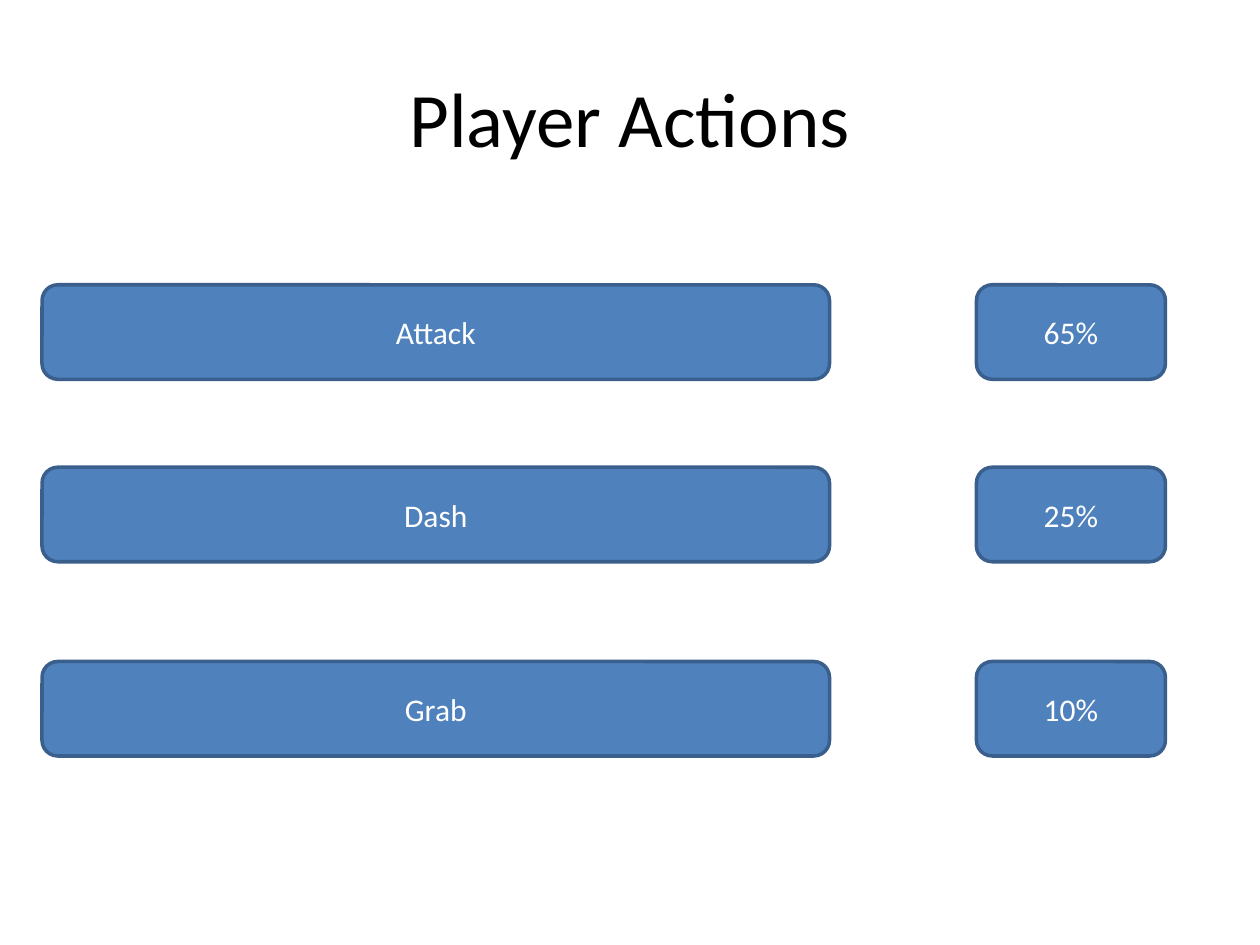
from dataclasses import dataclass

from pptx import Presentation
from pptx.dml.color import RGBColor
from pptx.enum.shapes import MSO_SHAPE as Kind
from pptx.enum.text import MSO_ANCHOR as Anchor, PP_ALIGN as Align
from pptx.util import Emu, Pt

PX = 9525
FONT = "Calibri"
FILL, EDGE, WHITE, BLACK = "4F81BD", "3A5F8C", "FFFFFF", "000000"
HIGH = 72


@dataclass
class Col:
    left: int
    width: int


@dataclass
class Row:
    top: int
    name: str
    odds: str


NAME = Col(32, 600)
ODDS = Col(744, 144)
ROWS = [
    Row(217, "Attack", "65%"),
    Row(356, "Dash", "25%"),
    Row(504, "Grab", "10%"),
]


def px(num: int) -> Emu:
    return Emu(num * PX)


def hue(code: str) -> RGBColor:
    return RGBColor.from_string(code)


def write(shape, text: str, size: int, code: str) -> None:
    frame = shape.text_frame
    frame.word_wrap = True
    frame.vertical_anchor = Anchor.MIDDLE
    para = frame.paragraphs[0]
    para.alignment = Align.CENTER
    run = para.add_run()
    run.text = text
    run.font.name = FONT
    run.font.size = Pt(size)
    run.font.color.rgb = hue(code)


def add_title(slide, text: str) -> None:
    box = slide.shapes.add_textbox(px(48), px(29), px(864), px(120))
    write(box, text, 44, BLACK)


def add_card(slide, col: Col, top: int, text: str) -> None:
    card = slide.shapes.add_shape(
        Kind.ROUNDED_RECTANGLE, px(col.left), px(top), px(col.width), px(HIGH)
    )
    card.shadow.inherit = False
    card.fill.solid()
    card.fill.fore_color.rgb = hue(FILL)
    card.line.color.rgb = hue(EDGE)
    card.line.width = Pt(2)
    write(card, text, 18, WHITE)


def main() -> None:
    deck = Presentation()
    deck.slide_width, deck.slide_height = px(960), px(720)
    slide = deck.slides.add_slide(deck.slide_layouts[6])
    add_title(slide, "Player Actions")
    for row in ROWS:
        add_card(slide, NAME, row.top, row.name)
        add_card(slide, ODDS, row.top, row.odds)
    deck.save("out.pptx")


if __name__ == "__main__":
    main()
